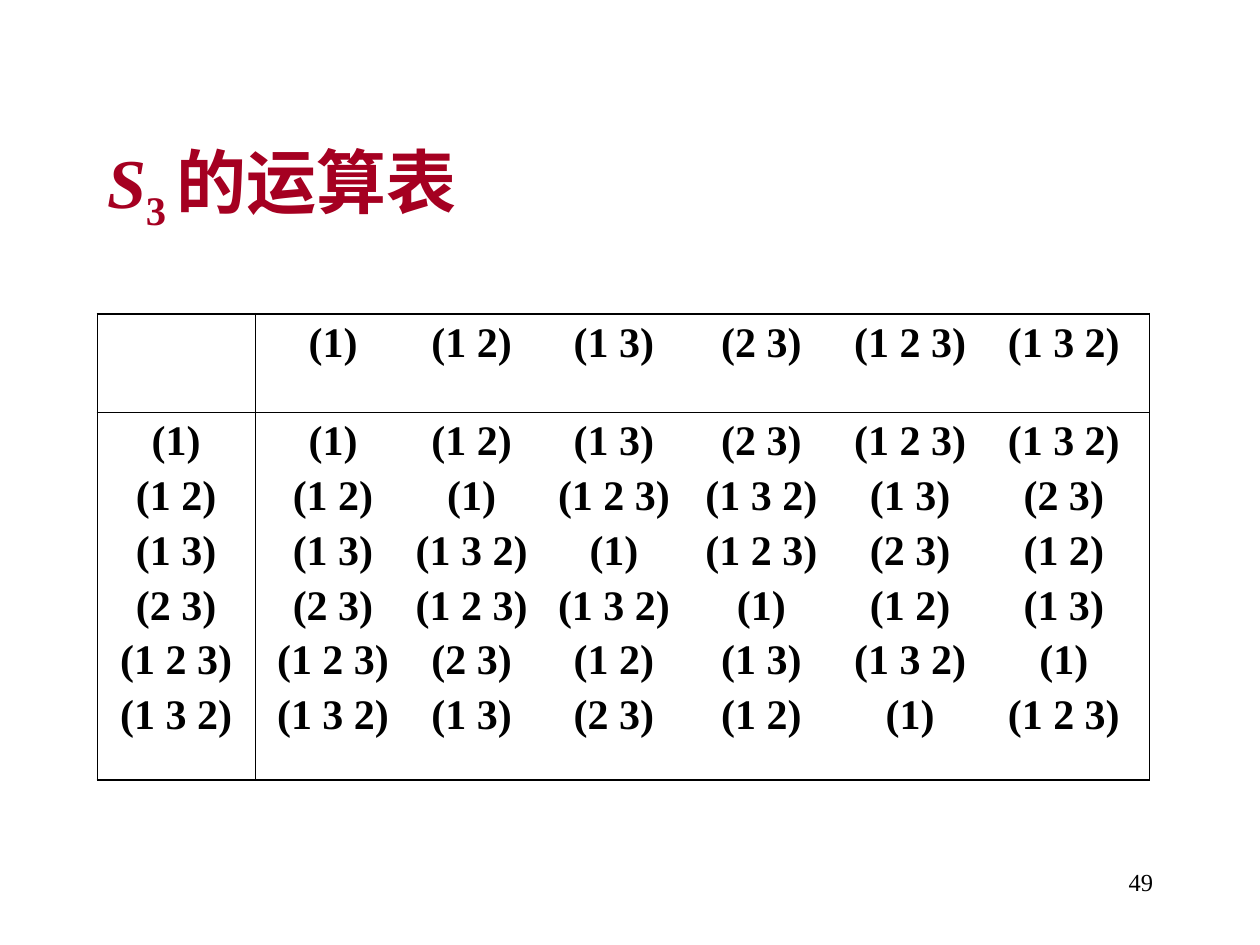
from dataclasses import dataclass

import pptx
import pptx.dml.color
import pptx.enum.text
import pptx.oxml.ns
import pptx.util
from lxml import etree

Inches, Pt = pptx.util.Inches, pptx.util.Pt
RGBColor = pptx.dml.color.RGBColor
PP_ALIGN = pptx.enum.text.PP_ALIGN
MSO_ANCHOR = pptx.enum.text.MSO_ANCHOR
qn = pptx.oxml.ns.qn


@dataclass(frozen=True)
class Theme:
    font: str = "Times New Roman"
    ink: str = "000000"
    accent: str = "A50021"
    title_size: float = 40
    table_size: float = 24
    number_size: float = 14
    row_gap: float = 4.8
    outer_line: float = 1.08
    inner_line: float = 0.45


@dataclass(frozen=True)
class Box:
    """A rectangle given in shares of the slide's width and height."""
    left: float
    top: float
    width: float
    height: float

    def on(self, prs) -> tuple[int, int, int, int]:
        w, h = prs.slide_width, prs.slide_height
        return (int(self.left * w), int(self.top * h),
                int(self.width * w), int(self.height * h))


THEME = Theme()
TITLE = Box(0.075, 0.1133, 0.85, 0.1667)
TABLE = Box(0.0773, 0.332, 0.835, 0.4927)
NUMBER = Box(0.717, 0.9107, 0.208, 0.0667)
COLUMNS = (1.25, 7.1)
ROWS = (0.78, 2.92)
PRODUCT_CENTRES = (0.52, 1.62, 2.75, 3.92, 5.1, 6.32)

ELEMENTS = ("(1)", "(1 2)", "(1 3)", "(2 3)", "(1 2 3)", "(1 3 2)")
PRODUCTS = (
    ELEMENTS,
    ("(1 2)", "(1)", "(1 2 3)", "(1 3 2)", "(1 3)", "(2 3)"),
    ("(1 3)", "(1 3 2)", "(1)", "(1 2 3)", "(2 3)", "(1 2)"),
    ("(2 3)", "(1 2 3)", "(1 3 2)", "(1)", "(1 2)", "(1 3)"),
    ("(1 2 3)", "(2 3)", "(1 2)", "(1 3)", "(1 3 2)", "(1)"),
    ("(1 3 2)", "(1 3)", "(2 3)", "(1 2)", "(1)", "(1 2 3)"),
)


def style_run(r, size: float, color: str, bold: bool = False) -> None:
    r.font.name = THEME.font
    r.font.size = Pt(size)
    r.font.bold = bold
    r.font.color.rgb = RGBColor.from_string(color)


def add_centre_tabs(p) -> None:
    tabs = etree.SubElement(p._p.get_or_add_pPr(), qn("a:tabLst"))
    for centre in PRODUCT_CENTRES:
        etree.SubElement(tabs, qn("a:tab"), pos=str(Inches(centre)), algn="ctr")


def set_borders(cell, row: int, col: int) -> None:
    """Draw the outer edges of the two-by-two table thicker than the inner ones."""
    outer = {"a:lnL": col == 0, "a:lnR": col == 1, "a:lnT": row == 0, "a:lnB": row == 1}
    tc_pr = cell._tc.get_or_add_tcPr()
    for i, (tag, is_outer) in enumerate(outer.items()):
        width = THEME.outer_line if is_outer else THEME.inner_line
        line = etree.Element(qn(tag), w=str(Pt(width)))
        fill = etree.SubElement(line, qn("a:solidFill"))
        etree.SubElement(fill, qn("a:srgbClr"), val=THEME.ink)
        tc_pr.insert(i, line)


def fill_cell(cell, lines: list[str], tabbed: bool) -> None:
    tf = cell.text_frame
    tf.text = "\n".join(lines)
    for i, p in enumerate(tf.paragraphs):
        p.alignment = PP_ALIGN.LEFT if tabbed else PP_ALIGN.CENTER
        if i:
            p.space_before = Pt(THEME.row_gap)
        if tabbed:
            add_centre_tabs(p)
        for r in p.runs:
            style_run(r, THEME.table_size, THEME.ink, bold=True)


def product_line(products: tuple[str, ...]) -> str:
    return "".join("\t" + product for product in products)


def add_title(prs, slide) -> None:
    sp = slide.shapes.title
    sp.left, sp.top, sp.width, sp.height = TITLE.on(prs)
    tf = sp.text_frame
    tf.auto_size = pptx.enum.text.MSO_AUTO_SIZE.NONE
    tf.vertical_anchor = MSO_ANCHOR.MIDDLE
    p = tf.paragraphs[0]
    p.alignment = PP_ALIGN.LEFT
    for text in ("S", "3 ", "的运算表"):
        r = p.add_run()
        r.text = text
        style_run(r, THEME.title_size, THEME.accent, bold=True)
    group, index, _ = p.runs
    group.font.italic = True
    index.font._element.set("baseline", "-25000")


def add_operation_table(prs, slide) -> None:
    table = slide.shapes.add_table(len(ROWS), len(COLUMNS), *TABLE.on(prs)).table
    table.first_row = table.horz_banding = False
    for column, width in zip(table.columns, COLUMNS):
        column.width = Inches(width)
    for row, height in zip(table.rows, ROWS):
        row.height = Inches(height)
    fill_cell(table.cell(0, 1), [product_line(ELEMENTS)], tabbed=True)
    fill_cell(table.cell(1, 0), list(ELEMENTS), tabbed=False)
    fill_cell(table.cell(1, 1), [product_line(row) for row in PRODUCTS], tabbed=True)
    for row in range(len(ROWS)):
        for col in range(len(COLUMNS)):
            cell = table.cell(row, col)
            cell.fill.background()
            set_borders(cell, row, col)


def add_page_number(prs, slide, number: str) -> None:
    tf = slide.shapes.add_textbox(*NUMBER.on(prs)).text_frame
    tf.word_wrap = True
    tf.text = number
    p = tf.paragraphs[0]
    p.alignment = PP_ALIGN.RIGHT
    style_run(p.runs[0], THEME.number_size, THEME.ink)


def main() -> None:
    prs = pptx.Presentation()
    prs.slide_width, prs.slide_height = Inches(10), Inches(7.5)
    slide = prs.slides.add_slide(prs.slide_layouts.get_by_name("Title Only"))
    add_page_number(prs, slide, "49")
    add_title(prs, slide)
    add_operation_table(prs, slide)
    prs.save("out.pptx")


if __name__ == "__main__":
    main()
